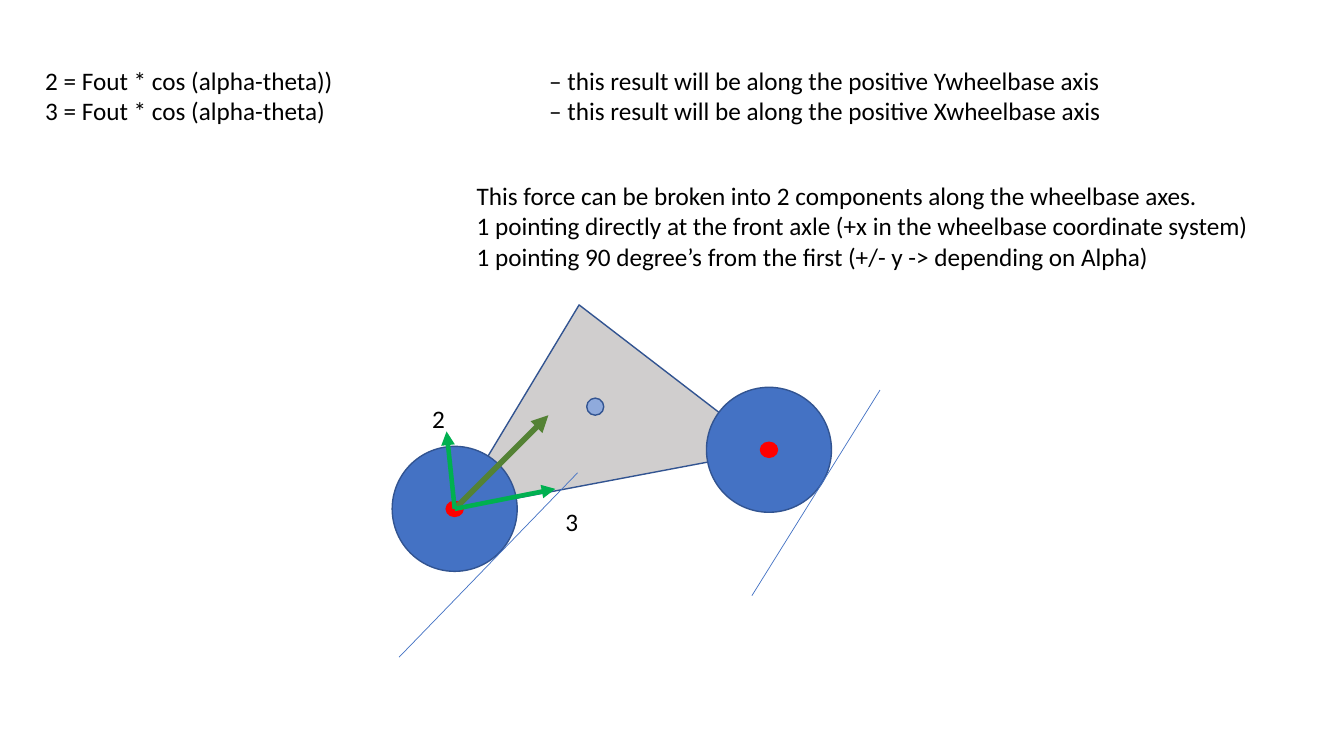
from pptx import Presentation
from pptx.dml.color import RGBColor
from pptx.enum.shapes import MSO_CONNECTOR as Conn, MSO_SHAPE as Kind
from pptx.oxml.ns import qn
from pptx.util import Pt
from lxml.etree import SubElement

BLUE = RGBColor(0x44, 0x72, 0xC4)
NAVY = RGBColor(0x32, 0x54, 0x91)
PALE = RGBColor(0x8F, 0xAA, 0xDC)
GRAY = RGBColor(0xD0, 0xCE, 0xCE)
RED = RGBColor(0xFF, 0, 0)
OLIVE = RGBColor(0x54, 0x82, 0x35)
GREEN = RGBColor(0, 0xB0, 0x50)
BLACK = RGBColor(0, 0, 0)

REAR, FRONT = (324.8, 363.5), (549.3, 321.3)
PIVOT = (425.2, 290.5)
WHEEL, HUB, DOT = (89.3, 89.3), (12.2, 10.8), (12.2, 12.2)
BODY = ((425.5, 280.4), (227.5, 127.4))
TILT = -10.7
TAB = 360

ROADS = [
    ((285.1, 469.4), (412.6, 337.7)),
    ((537.1, 425.5), (628.6, 278.6)),
]
FORCES = [
    (REAR, (391.7, 296.6), OLIVE, 4),
    (REAR, (319, 308.2), GREEN, 3.25),
    (REAR, (396.7, 349.2), GREEN, 3.25),
]
TEXTS = [
    ((333.4, 125.3, 572.4, 72.7), [
        "This force can be broken into 2 components along the wheelbase axes.",
        "1 pointing directly at the front axle (+x in the wheelbase coordinate system)",
        "1 pointing 90 degree’s from the first (+/- y -> depending on Alpha)",
    ]),
    ((301.7, 284.4, 23.8, 29), ["2"]),
    ((396.7, 357.8, 23.8, 29), ["3"]),
    ((25.2, 43.2, 776.9, 51), [
        "2 = Fout * cos (alpha-theta))\t– this result will be along the positive Ywheelbase axis",
        "3 = Fout * cos (alpha-theta)\t– this result will be along the positive Xwheelbase axis",
    ]),
]

deck = Presentation()
deck.slide_width, deck.slide_height = Pt(960), Pt(540)
slide = deck.slides.add_slide(deck.slide_layouts[6])
shapes = slide.shapes


def add_part(kind, mid, size, fill, edge=NAVY):
    (x, y), (w, h) = mid, size
    part = shapes.add_shape(kind, Pt(x - w / 2), Pt(y - h / 2), Pt(w), Pt(h))
    part.shadow.inherit = False
    part.fill.solid()
    part.fill.fore_color.rgb = fill
    part.line.color.rgb = edge
    part.line.width = Pt(1)
    return part


def add_line(start, end, color, width, arrow=False):
    line = shapes.add_connector(Conn.STRAIGHT, *map(Pt, start + end))
    line.line.color.rgb = color
    line.line.width = Pt(width)
    if arrow:
        SubElement(line.line._get_or_add_ln(), qn("a:tailEnd"), type="triangle")
    SubElement(line._element.spPr, qn("a:effectLst"))


def add_text(box, rows):
    frame = shapes.add_textbox(*map(Pt, box)).text_frame
    frame.word_wrap = True
    frame.text = "\n".join(rows)
    for para in frame.paragraphs:
        font = para.font
        font.name, font.size = "Calibri", Pt(18)
        font.color.rgb = BLACK
        if "\t" in para.text:
            tabs = para._p.get_or_add_pPr()
            stops = tabs.makeelement(qn("a:tabLst"))
            tabs.insert(0, stops)
            SubElement(stops, qn("a:tab"), pos=str(Pt(TAB)), algn="l")


add_part(Kind.ISOSCELES_TRIANGLE, *BODY, GRAY).rotation = TILT
for axle in (REAR, FRONT):
    add_part(Kind.OVAL, axle, WHEEL, BLUE)
for start, end in ROADS:
    add_line(start, end, BLUE, 0.5)
for axle in (REAR, FRONT):
    add_part(Kind.OVAL, axle, HUB, RED, RED)
for force in FORCES:
    add_line(*force, arrow=True)
add_part(Kind.OVAL, PIVOT, DOT, PALE)
for box, rows in TEXTS:
    add_text(box, rows)

deck.save("out.pptx")
